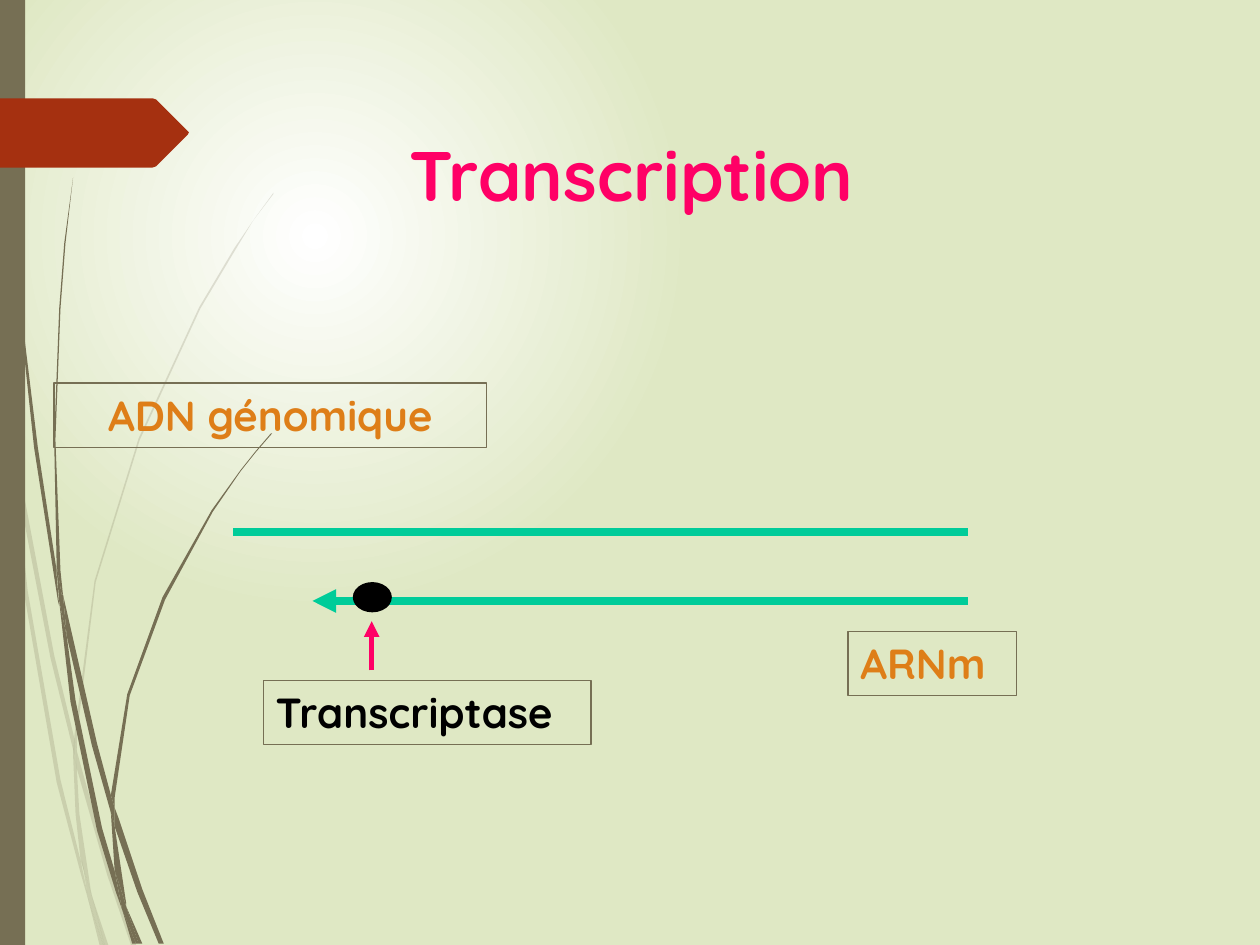
from typing import NamedTuple

from lxml.etree import SubElement
from pptx import Presentation
from pptx.dml.color import RGBColor
from pptx.enum.shapes import MSO_CONNECTOR, MSO_SHAPE
from pptx.enum.text import MSO_ANCHOR, MSO_AUTO_SIZE, PP_ALIGN
from pptx.oxml.ns import qn
from pptx.util import Inches, Pt

OLIVE = RGBColor(0x76, 0x6F, 0x54)
RUST = RGBColor(0xA5, 0x30, 0x10)
PINK = RGBColor(0xFF, 0x00, 0x66)
GREEN = RGBColor(0x00, 0xCC, 0x99)
ORANGE = RGBColor(0xDE, 0x7E, 0x18)
BLACK = RGBColor(0x00, 0x00, 0x00)
WHITE = RGBColor(0xFF, 0xFF, 0xFF)
PALE_GREEN = RGBColor(0xDF, 0xE8, 0xC4)
FONT = "Quicksand"

Outline = list[tuple[float, float]]

FAINT_STEMS: list[Outline] = [
    [(0.08, 3.5), (0.06, 3.22), (0, 2.82), (0, 2.99), (0.07, 3.44)],
    [(0.4, 5.22), (0.59, 5.99), (0.59, 5.86), (0.43, 5.2), (0.1, 3.45), (0.12, 3.76)],
    [(0.64, 6.07), (0.61, 5.96), (0.61, 6.1), (0.85, 6.94), (1.04, 7.5), (1.08, 7.5),
     (0.88, 6.92)],
    [(0.83, 7.5), (0.86, 7.5), (0.73, 7.11)],
    [(0.64, 6.83), (0.48, 6.19), (0.22, 4.69), (0.12, 3.76), (0.08, 3.5), (0.19, 4.7),
     (0.45, 6.21), (0.64, 6.93), (0.7, 7.14), (0.69, 7.07)],
    [(0.58, 5.99), (0.6, 6.46), (0.64, 6.83), (0.67, 6.92), (0.73, 7.11), (0.72, 7.06),
     (0.63, 6.46), (0.61, 6.1), (0.61, 6.08)],
    [(0.61, 5.84), (0.76, 4.62), (1.11, 3.49), (1.59, 2.45), (1.87, 1.98), (2.01, 1.75),
     (2.17, 1.54), (2.17, 1.53), (2.01, 1.75), (1.86, 1.97), (1.58, 2.44), (1.1, 3.48),
     (0.75, 4.61), (0.59, 5.84), (0.59, 5.86), (0.61, 5.96)],
    [(0.7, 7.14), (0.79, 7.5), (0.82, 7.5)],
    [(0.61, 6.08), (0.61, 6.1), (0.61, 5.96), (0.59, 5.86), (0.58, 5.99)],
    [(0.67, 6.92), (0.65, 6.83), (0.69, 7.07), (0.7, 7.14), (0.82, 7.5), (0.83, 7.5),
     (0.73, 7.11)],
]
DARK_STEMS: list[Outline] = [
    [(0.05, 1.1), (0.14, 2.33), (0.27, 3.55), (0.46, 4.77), (0.47, 4.81), (0.45, 4.57),
     (0.45, 4.53), (0.3, 3.55), (0.15, 2.32), (0.06, 1.09), (0.04, 0.48), (0.03, 0),
     (0.02, 0), (0.03, 0.48)],
    [(0.73, 5.92), (0.88, 6.45), (0.88, 6.33), (0.88, 6.31), (0.77, 5.9), (0.5, 4.72),
     (0.53, 5.05)],
    [(0.94, 6.49), (0.91, 6.41), (0.91, 6.56), (1.09, 7.08), (1.26, 7.49), (1.3, 7.49),
     (1.13, 7.06)],
    [(0.91, 6.91), (0.81, 6.57), (0.6, 5.56), (0.53, 5.05), (0.47, 4.77), (0.56, 5.57),
     (0.77, 6.59), (0.92, 7.08), (0.97, 7.22), (0.96, 7.17)],
    [(0.5, 4.72), (0.48, 4.53), (0.44, 3.49), (0.48, 2.45), (0.52, 1.93), (0.58, 1.41),
     (0.51, 1.93), (0.47, 2.45), (0.43, 3.49), (0.45, 4.49), (0.49, 4.72)],
    [(1.1, 7.49), (1.13, 7.49), (1, 7.19)],
    [(0.47, 4.77), (0.53, 5.05), (0.5, 4.72), (0.49, 4.72), (0.45, 4.49), (0.45, 4.53)],
    [(0.91, 6.33), (1.03, 5.52), (1.31, 4.76), (1.69, 4.06), (1.91, 3.74), (2.03, 3.59),
     (2.16, 3.44), (2.15, 3.44), (2.03, 3.58), (1.91, 3.73), (1.68, 4.05), (1.29, 4.74),
     (1.01, 5.51), (0.88, 6.31), (0.91, 6.41)],
    [(0.97, 7.22), (1.05, 7.49), (1.08, 7.49)],
    [(0.88, 6.45), (0.91, 6.91), (0.96, 7.06), (1, 7.19), (1, 7.16), (0.91, 6.56),
     (0.9, 6.51)],
    [(0.88, 6.45), (0.9, 6.51), (0.91, 6.56), (0.91, 6.41), (0.88, 6.31), (0.88, 6.33)],
    [(0.96, 7.06), (0.91, 6.91), (0.96, 7.17), (0.97, 7.22), (1.08, 7.49), (1.1, 7.49),
     (1, 7.19)],
]
RIBBON: Outline = [
    (0, 0.78), (1.21, 0.78), (1.24, 0.79), (1.49, 1.04), (1.5, 1.05), (1.49, 1.07),
    (1.24, 1.32), (1.21, 1.33), (0, 1.33),
]


class Strand(NamedTuple):
    start: tuple[float, float]
    end: tuple[float, float]
    color: RGBColor
    width: float
    arrow: bool


class Label(NamedTuple):
    text: str
    left: float
    top: float
    width: float
    color: RGBColor
    alignment: PP_ALIGN = PP_ALIGN.LEFT


STRANDS = [
    Strand((1.85, 4.22), (7.68, 4.22), GREEN, 4.5, False),
    Strand((7.68, 4.77), (2.48, 4.77), GREEN, 4.5, True),
]
ENZYME_POINTER = Strand((2.95, 5.32), (2.95, 4.93), PINK, 3, True)
LABELS = [
    Label("Transcriptase", 2.09, 5.4, 2.6, BLACK),
    Label("ADN génomique", 0.43, 3.04, 3.43, ORANGE, PP_ALIGN.CENTER),
    Label("ARNm", 6.73, 5.01, 1.34, ORANGE),
]


def paint_background(slide) -> None:
    fill = slide.background.fill
    fill.gradient()
    for stop, color, position in zip(fill.gradient_stops, (WHITE, PALE_GREEN), (0, 0.48)):
        stop.color.rgb = color
        stop.position = position
    gradient = next(slide.element.iter(qn("a:gradFill")))
    gradient.remove(gradient.find(qn("a:lin")))
    circle = SubElement(gradient, qn("a:path"), path="circle")
    SubElement(circle, qn("a:fillToRect"), l="50000", t="50000", r="100000", b="100000")


def paint_shape(shape, color: RGBColor) -> None:
    shape.shadow.inherit = False
    shape.fill.solid()
    shape.fill.fore_color.rgb = color
    shape.line.fill.background()


def draw_outline(shapes, outline: Outline, color: RGBColor, opacity: int = 100) -> None:
    points = [(Inches(x), Inches(y)) for x, y in outline]
    builder = shapes.build_freeform(*points[0], scale=1.0)
    builder.add_line_segments(points[1:], close=True)
    shape = builder.convert_to_shape()
    paint_shape(shape, color)
    if opacity < 100:
        color_element = next(shape.element.spPr.iter(qn("a:srgbClr")))
        SubElement(color_element, qn("a:alpha"), val=str(opacity * 1000))


def draw_shape(slide, kind: MSO_SHAPE, left: float, top: float, width: float,
               height: float, color: RGBColor) -> None:
    shape = slide.shapes.add_shape(
        kind, Inches(left), Inches(top), Inches(width), Inches(height))
    paint_shape(shape, color)


def draw_strand(slide, strand: Strand) -> None:
    connector = slide.shapes.add_connector(
        MSO_CONNECTOR.STRAIGHT, *map(Inches, strand.start + strand.end))
    connector.line.color.rgb = strand.color
    connector.line.width = Pt(strand.width)
    if strand.arrow:
        SubElement(connector.line._get_or_add_ln(), qn("a:tailEnd"), type="triangle")
    SubElement(connector.element.spPr, qn("a:effectLst"))


def write_text(shape, text: str, size: float, color: RGBColor, alignment: PP_ALIGN) -> None:
    frame = shape.text_frame
    frame.word_wrap = True
    frame.vertical_anchor = MSO_ANCHOR.TOP
    paragraph = frame.paragraphs[0]
    paragraph.alignment = alignment
    paragraph.space_before = Pt(0)
    run = paragraph.add_run()
    run.text = text
    run.font.name = FONT
    run.font.size = Pt(size)
    run.font.bold = True
    run.font.color.rgb = color


def draw_label(slide, label: Label) -> None:
    box = slide.shapes.add_textbox(
        Inches(label.left), Inches(label.top), Inches(label.width), Inches(0.51))
    box.line.color.rgb = OLIVE
    box.line.width = Pt(0.75)
    write_text(box, label.text, 24, label.color, label.alignment)
    box.text_frame.auto_size = MSO_AUTO_SIZE.SHAPE_TO_FIT_TEXT


def main() -> None:
    presentation = Presentation()
    presentation.slide_width, presentation.slide_height = Inches(10), Inches(7.5)
    slide = presentation.slides.add_slide(presentation.slide_layouts[5])
    paint_background(slide)
    for stems, opacity in ((FAINT_STEMS, 20), (DARK_STEMS, 100)):
        group = slide.shapes.add_group_shape()
        for stem in stems:
            draw_outline(group.shapes, stem, OLIVE, opacity)
    draw_shape(slide, MSO_SHAPE.RECTANGLE, 0, 0, 0.2, 7.5, OLIVE)
    draw_outline(slide.shapes, RIBBON, RUST)
    title = slide.shapes.title
    title.left, title.top, title.width, title.height = map(Inches, (0.51, 0.99, 9, 5.74))
    write_text(title, "Transcription", 40, PINK, PP_ALIGN.CENTER)
    title.text_frame.auto_size = MSO_AUTO_SIZE.NONE
    for strand in STRANDS:
        draw_strand(slide, strand)
    draw_shape(slide, MSO_SHAPE.OVAL, 2.8, 4.62, 0.31, 0.24, BLACK)
    draw_strand(slide, ENZYME_POINTER)
    for label in LABELS:
        draw_label(slide, label)
    presentation.save("out.pptx")


if __name__ == "__main__":
    main()
